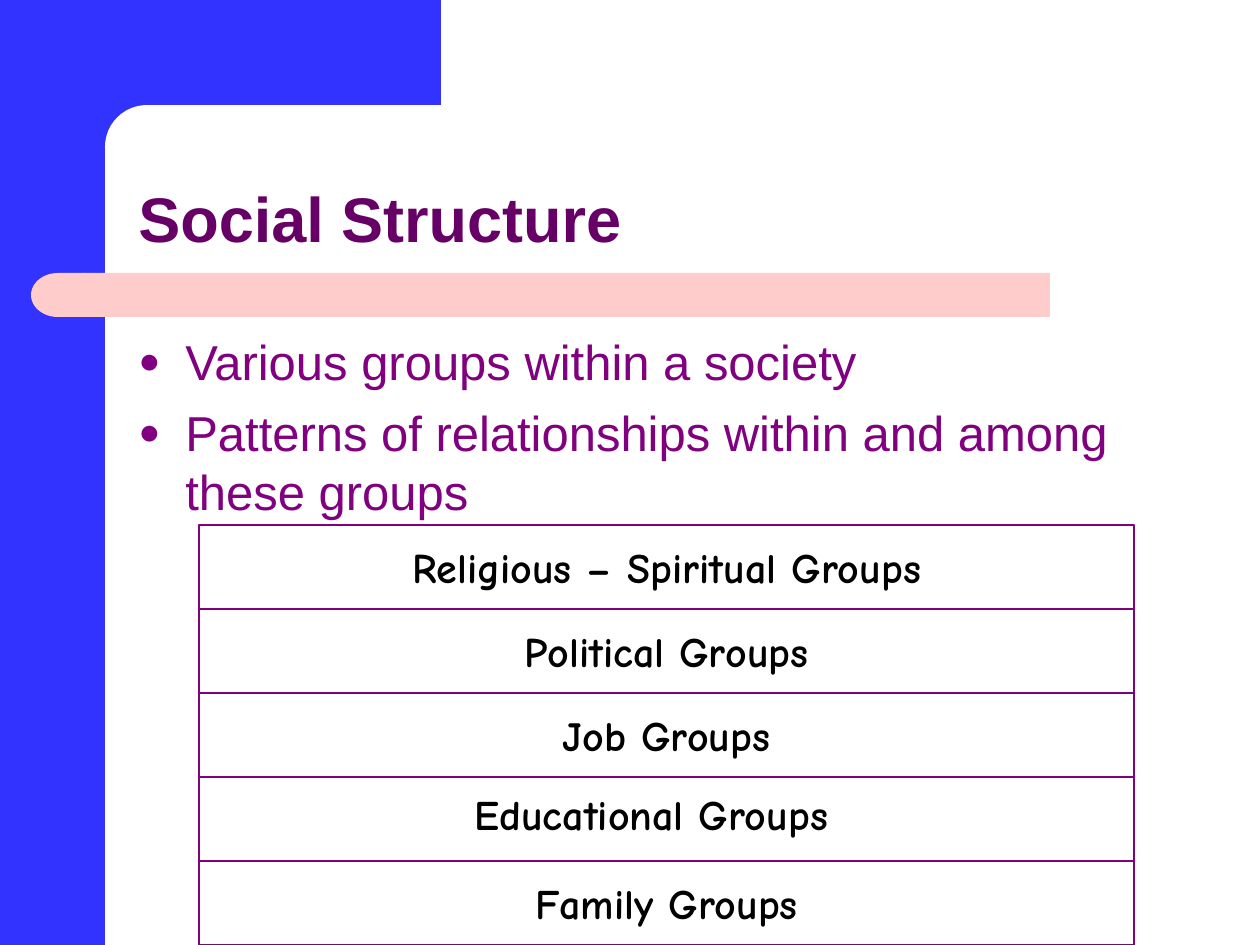
from lxml.etree import SubElement
from pptx import Presentation
from pptx.dml.color import RGBColor
from pptx.enum.shapes import MSO_SHAPE as SHAPE
from pptx.enum.text import MSO_ANCHOR as ANCHOR, PP_ALIGN as ALIGN
from pptx.oxml.ns import qn
from pptx.util import Pt

# Content
TITLE = "Social Structure"
POINTS = [
    "Various groups within a society",
    "Patterns of relationships within and among these groups",
]
EDUCATION = "Educational Groups"
GROUPS = ["Religious – Spiritual Groups", "Political Groups", "Job Groups",
          EDUCATION, "Family Groups"]

# Formats
COLORS = {"blue": "3333FF", "pink": "FFCCCC", "white": "FFFFFF",
          "plum": "660066", "purple": "800080", "black": "000000"}
TITLE_FONT = {"name": "Arial", "size": Pt(36), "bold": True}
POINT_FONT = {"name": "Arial", "size": Pt(28)}
GROUP_FONT = {"name": "Comic Neue", "size": Pt(24), "bold": True}

# Layout in px
BACKDROP = [
    (SHAPE.RECTANGLE, (0, 0, 105, 945), "blue"),
    (SHAPE.RECTANGLE, (94, 0, 347, 147), "blue"),
    (SHAPE.ROUNDED_RECTANGLE, (105, 105, 703, 84), "white"),
    (SHAPE.RECTANGLE, (84, 273, 966, 44), "pink"),
]
BAR_END = (31, 273, 54, 44)
TITLE_BOX = (126, 105, 1102, 157)
POINTS_BOX = (126, 325, 1102, 514)
EDUCATION_BOX = (462, 782, 547, 63)
STACK_LEFT, STACK_TOP, STACK_WIDTH, ROW_HEIGHT = 199, 525, 935, 84
INDENT = 47
SCALE = 914400 / 126


def emu(px):
    return round(px * SCALE)


def color(name):
    return RGBColor.from_string(COLORS[name])


def add_block(kind, box, fill, line=None):
    block = slide.shapes.add_shape(kind, *map(emu, box))
    block.shadow.inherit = False
    block.fill.solid()
    block.fill.fore_color.rgb = color(fill)
    if line:
        block.line.color.rgb = color(line)
        block.line.width = Pt(0.75)
    else:
        block.line.fill.background()
    return block


def add_text_frame(box, anchor=ANCHOR.TOP):
    frame = slide.shapes.add_textbox(*map(emu, box)).text_frame
    frame.word_wrap = True
    frame.vertical_anchor = anchor
    return frame


def write(paragraph, text, font, ink):
    paragraph.text = text
    for key, value in font.items():
        setattr(paragraph.font, key, value)
    paragraph.font.color.rgb = color(ink)


def add_bullet(paragraph):
    props = paragraph._p.get_or_add_pPr()
    props.set("marL", str(emu(INDENT)))
    props.set("indent", str(-emu(INDENT)))
    ink = SubElement(props, qn("a:buClr"))
    SubElement(ink, qn("a:srgbClr"), val=COLORS["purple"])
    SubElement(props, qn("a:buSzPct"), val="75000")
    SubElement(props, qn("a:buFont"), typeface="Arial")
    SubElement(props, qn("a:buChar"), char="●")


deck = Presentation()
deck.slide_width, deck.slide_height = emu(1260), emu(945)
slide = deck.slides.add_slide(deck.slide_layouts[6])

# Blue frame, rounded corner and pink bar
for kind, box, fill in BACKDROP:
    block = add_block(kind, box, fill)
    if kind == SHAPE.ROUNDED_RECTANGLE:
        block.adjustments[0] = 0.5
add_block(SHAPE.FLOWCHART_DELAY, BAR_END, "pink").rotation = 180

# Title
heading = add_text_frame(TITLE_BOX, ANCHOR.BOTTOM).paragraphs[0]
heading.line_spacing = 0.9
write(heading, TITLE, TITLE_FONT, "plum")

# Bullet points
points = add_text_frame(POINTS_BOX)
for i, point in enumerate(POINTS):
    paragraph = points.add_paragraph() if i else points.paragraphs[0]
    if i:
        paragraph.space_before = Pt(7)
    add_bullet(paragraph)
    write(paragraph, point, POINT_FONT, "purple")

# Stack of groups; the education label sits in its own box
for row, group in enumerate(GROUPS):
    box = (STACK_LEFT, STACK_TOP + row * ROW_HEIGHT, STACK_WIDTH, ROW_HEIGHT)
    layer = add_block(SHAPE.RECTANGLE, box, "white", "purple")
    if group != EDUCATION:
        layer.text_frame.word_wrap = False
        layer.text_frame.vertical_anchor = ANCHOR.MIDDLE
        label = layer.text_frame.paragraphs[0]
        label.alignment = ALIGN.CENTER
        write(label, group, GROUP_FONT, "black")
label = add_text_frame(EDUCATION_BOX).paragraphs[0]
write(label, EDUCATION, GROUP_FONT, "black")

deck.save("out.pptx")
